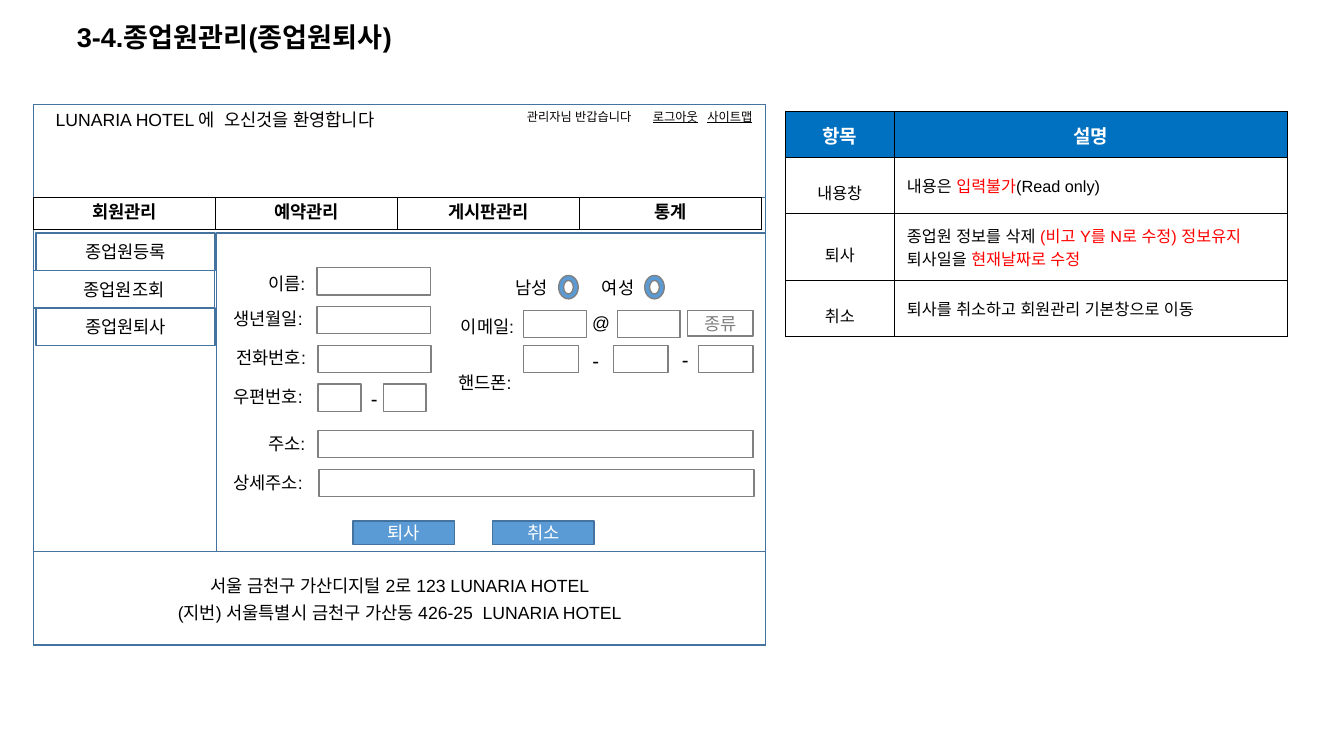
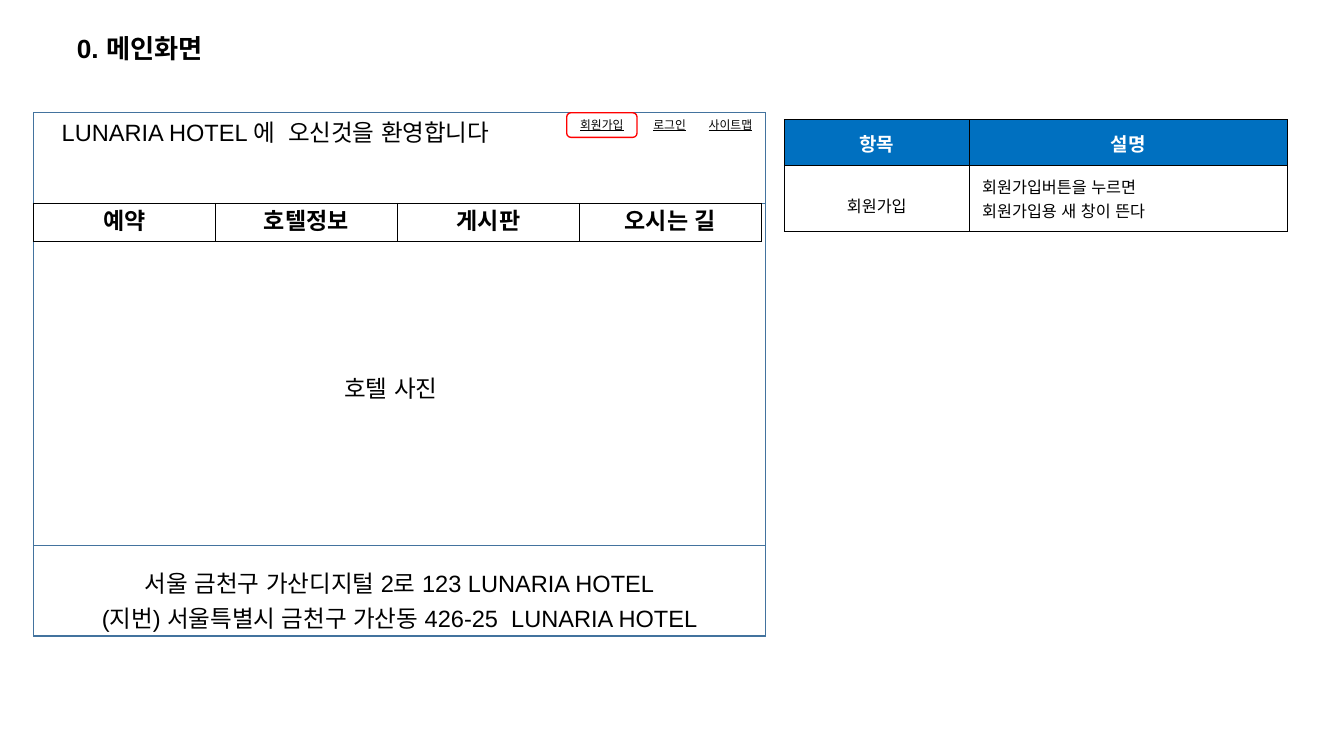
from lxml import etree
from pptx import Presentation
from pptx.dml.color import RGBColor
from pptx.enum.shapes import MSO_SHAPE
from pptx.enum.text import MSO_ANCHOR, MSO_AUTO_SIZE, PP_ALIGN
from pptx.oxml.ns import qn
from pptx.util import Cm, Pt

RECT, ROUND, DONUT = MSO_SHAPE.RECTANGLE, MSO_SHAPE.ROUNDED_RECTANGLE, MSO_SHAPE.DONUT
LEFT, MID = PP_ALIGN.LEFT, PP_ALIGN.CENTER
TOP, CENTER = MSO_ANCHOR.TOP, MSO_ANCHOR.MIDDLE
GROW, FIXED = MSO_AUTO_SIZE.SHAPE_TO_FIT_TEXT, MSO_AUTO_SIZE.NONE

HEX = {"black": "000000", "white": "FFFFFF", "red": "FF0000", "gray": "808080",
       "edge": "43739E", "blue": "5B9BD5", "head": "0070C0"}
LATIN, HANGUL = "Arial", "Noto Sans CJK KR"

# Shared content and measures, in cm
INCH = 2.54
WIDE, HIGH = 13.78 * INCH, 7.5 * INCH
HELLO = "LUNARIA HOTEL 에  오신것을 환영합니다 "
ADDRESS = ["서울 금천구 가산디지털 2로 123 LUNARIA HOTEL",
           "(지번) 서울특별시 금천구 가산동 426-25  LUNARIA HOTEL"]
HEADS = ["항목", "설명"]
FRAME_X, FRAME_W, NAV_COL = 0.87, 19.07, 4.74
LINE_H, LINK_H = 0.81, 0.64

STAFF = {
    "title": ("3-4.종업원관리(종업원퇴사)", 0.53, 0.97, 20),
    "frame": (2.72, 14.09, 2.43),
    "size": 13, "hello": (9.8, 0.81), "foot": 1.52,
    "small": 9,
    "links": [("관리자님 반갑습니다", 13.34, 3.48, False),
              ("로그아웃", 16.69, 1.8, True), ("사이트맵", 18.11, 1.8, True)],
    "nav": ["회원관리", "예약관리", "게시판관리", "통계"],
    "nav_fmt": (0.83, 13),
    "spec_at": (20.45, 2.9), "cols": [2.84, 10.24], "rows": [1.19, 1.47, 1.73, 1.47],
    "spec": [
        ("내용창", [["내용은 ", ("입력불가", "red"), "(Read only)"]]),
        ("퇴사", [["종업원 정보를 삭제 ", ("(비고 Y를 N로 수정) 정보유지", "red")],
                ["퇴사일을 ", ("현재날짜로 수정", "red")]]),
        ("취소", ["퇴사를 취소하고 회원관리 기본창으로 이동"]),
    ],
}
HOME = {
    "title": ("0. 메인화면", 0.84, 0.91, 19.4),
    "frame": (2.94, 13.64, 2.36),
    "size": 17.4, "hello": (13, 0.99), "foot": 1.98,
    "small": 8.7,
    "links": [("회원가입", 14.76, 1.83, True), ("로그인", 16.69, 1.5, True),
              ("사이트맵", 18.11, 1.83, True)],
    "nav": ["예약", "호텔정보", "게시판", "오시는 길"],
    "nav_fmt": (0.99, 17),
    "spec_at": (20.42, 3.11), "cols": [4.83, 8.28], "rows": [1.19, 1.73],
    "spec": [("회원가입", ["회원가입버튼을 누르면", "회원가입용 새 창이 뜬다"])],
}

# Staff form: rows share one pitch
MENU = [("종업원등록", 0.94, 4.66), ("종업원조회", 0.87, 4.72), ("종업원퇴사", 0.94, 4.66)]
MENU_Y, MENU_H = 6.07, 0.98
PANEL = (5.64, 6.07, 14.3, 8.31)
ROW_Y, PITCH, FIELD_H = 6.98, 1.01, 0.71
FIELDS = [  # row, then (left, width) of each box
    (0, [(8.26, 2.95)]), (1, [(8.26, 2.95)]), (2, [(8.28, 2.95)]),
    (3, [(8.28, 1.12), (9.98, 1.12)]),
    (1.1, [(13.64, 1.63), (16.08, 1.63)]),
    (2, [(13.64, 1.42), (15.98, 1.42), (18.19, 1.42)]),
    (4.2, [(8.28, 11.33)]), (5.2, [(8.31, 11.33)]),
]
LABELS = [  # text, left, top, width
    ("이름: ", 6.68, 6.99, 1.7), ("생년월일: ", 5.74, 7.9, 2.62),
    ("전화번호:", 5.82, 8.92, 2.49), ("우편번호:", 5.74, 9.93, 2.49),
    ("주소: ", 6.68, 11.15, 1.7), ("상세주소: ", 5.74, 12.17, 2.62),
    ("남성 ", 13.13, 7.09, 1.57), ("여성", 15.37, 7.09, 1.45),
    ("이메일: ", 11.68, 8.1, 2.16), ("@", 15.16, 8, 0.99),
    ("핸드폰: ", 11.61, 9.56, 2.16),
]
DASHES = [(9.5, 9.93), (15.27, 8.94), (17.6, 8.92)]
RADIOS = [14.55, 16.79]
KIND = ("종류", 17.91, 8.1, 1.7, 0.66)
BUTTONS = [("퇴사", 9.19), ("취소", 12.83)]


def rgb(key):
    return RGBColor.from_string(HEX[key])


def space(par, pct, after=False):
    props = par._p.get_or_add_pPr()
    gap = props.get_or_add_spcAft() if after else props.get_or_add_spcBef()
    etree.SubElement(gap, qn("a:spcPct")).set("val", str(pct * 1000))


def write(frame, lines, size, color="black", align=MID, pct=30, after=False,
          lead=None, font=LATIN, **fmt):
    """Fill a text frame; a line is a string or a list of parts."""
    fmt = {"size": Pt(size), "name": font, "bold": False, **fmt}
    for i, line in enumerate(lines):
        par = frame.add_paragraph() if i else frame.paragraphs[0]
        par.alignment = align
        if lead:
            par.line_spacing = lead
        if pct:
            space(par, pct, after)
        for part in [line] if isinstance(line, str) else line:
            text, tint = (part, color) if isinstance(part, str) else part
            run = par.add_run()
            run.text = text
            for name, value in fmt.items():
                setattr(run.font, name, value)
            run.font.color.rgb = rgb(tint)
            east = etree.SubElement(run._r.get_or_add_rPr(), qn("a:ea"))
            east.set("typeface", font)


def label(slide, lines, x, y, w, h, size, wrap=False, anchor=TOP, fit=GROW, **fmt):
    frame = slide.shapes.add_textbox(Cm(x), Cm(y), Cm(w), Cm(h)).text_frame
    frame.word_wrap = wrap
    frame.auto_size = fit
    frame.vertical_anchor = anchor
    write(frame, lines, size, **fmt)


def box(slide, x, y, w, h, line="edge", fill=None, kind=RECT, text=None, color="black"):
    shape = slide.shapes.add_shape(kind, Cm(x), Cm(y), Cm(w), Cm(h))
    shape.shadow.inherit = False
    if fill:
        shape.fill.solid()
        shape.fill.fore_color.rgb = rgb(fill)
    else:
        shape.fill.background()
    shape.line.color.rgb = rgb(line)
    shape.line.width = Pt(1)
    if text:
        shape.text_frame.vertical_anchor = CENTER
        write(shape.text_frame, [text], 13, color, font=HANGUL)


def border(cell, width):
    props = cell._tc.get_or_add_tcPr()
    for i, side in enumerate("LRTB"):
        line = etree.Element(qn("a:ln" + side), w=str(Pt(width)))
        fill = etree.SubElement(line, qn("a:solidFill"))
        etree.SubElement(fill, qn("a:srgbClr")).set("val", HEX["black"])
        props.insert(i, line)


def grid(slide, x, y, cols, rows, width):
    """Add a plain bordered table and return it."""
    table = slide.shapes.add_table(len(rows), len(cols), Cm(x), Cm(y),
                                   Cm(sum(cols)), Cm(sum(rows))).table
    table.first_row = table.horz_banding = False
    for col, size in zip(table.columns, cols):
        col.width = Cm(size)
    for row, size in zip(table.rows, rows):
        row.height = Cm(size)
    for cell in table.iter_cells():
        cell.fill.background()
        border(cell, width)
    return table


def spec(slide, data):
    table = grid(slide, *data["spec_at"], data["cols"], data["rows"], 0.25)
    head = dict(size=14, color="white", bold=True, lead=1.3, pct=20, after=True)
    name = dict(size=12, lead=2.0, pct=10)
    note = dict(size=12, lead=1.2, pct=10, align=LEFT)
    body = [[([text], head) for text in HEADS]]
    body += [[([key], name), (lines, note)] for key, lines in data["spec"]]
    for r, row in enumerate(body):
        for c, (lines, fmt) in enumerate(row):
            cell = table.cell(r, c)
            cell.fill.solid()
            cell.fill.fore_color.rgb = rgb("white" if r else "head")
            cell.vertical_anchor = CENTER
            cell.margin_left = cell.margin_right = Cm(0.33)
            cell.margin_top = cell.margin_bottom = Cm(0.13)
            write(cell.text_frame, lines, **fmt)


def base(deck, data):
    """Draw what both screens share: title, frame, links, menu, footer, notes."""
    slide = deck.slides.add_slide(deck.slide_layouts[6])
    title, y, h, size = data["title"]
    label(slide, [title], 1.75, y, 30.2, h, size, wrap=True, anchor=CENTER,
          fit=FIXED, align=LEFT, pct=0, lead=0.9, bold=True)
    spec(slide, data)

    top, tall, band = data["frame"]
    foot = top + tall - band
    for y, h in [(top, tall), (top, band), (foot, band)]:
        box(slide, FRAME_X, y, FRAME_W, h)
    label(slide, [HELLO], 0.76, top, *data["hello"], data["size"])
    for text, x, w, under in data["links"]:
        label(slide, [text], x, top, w, LINK_H, data["small"], underline=under)

    high, size = data["nav_fmt"]
    nav = grid(slide, FRAME_X, top + band, [NAV_COL] * len(data["nav"]), [high], 1)
    for cell, text in zip(nav.iter_cells(), data["nav"]):
        write(cell.text_frame, [text], size, bold=True)
    label(slide, ADDRESS, FRAME_X, foot + 0.48, FRAME_W, data["foot"], data["size"],
          wrap=True)
    return slide


def staff(deck):
    slide = base(deck, STAFF)
    # Side menu and panel
    for i, (text, x, w) in enumerate(MENU):
        box(slide, x, MENU_Y + i * MENU_H, w, MENU_H, text=text)
    box(slide, *PANEL)
    # Form
    for row, spots in FIELDS:
        for x, w in spots:
            box(slide, x, ROW_Y + row * PITCH, w, FIELD_H, "gray")
    for text, x, y, w in LABELS:
        label(slide, [text], x, y, w, LINE_H, 13)
    for x, y in DASHES:
        label(slide, ["-"], x, y, 0.41, 0.89, 15, wrap=True)
    for x in RADIOS:
        box(slide, x, 7.18, 0.51, 0.61, "gray", "blue", DONUT)
    text, *spot = KIND
    box(slide, *spot, "gray", text=text, color="gray")
    for text, x in BUTTONS:
        box(slide, x, 13.58, 2.64, 0.61, fill="blue", text=text, color="white")


def home(deck):
    slide = base(deck, HOME)
    label(slide, ["호텔 사진"], 8.59, 9.62, 3.18, 0.99, HOME["size"])
    # Mark on the sign-up link
    _, x, w, _ = HOME["links"][0]
    box(slide, x, HOME["frame"][0], w, LINK_H, "red", kind=ROUND)


def main():
    deck = Presentation()
    deck.slide_width = Cm(WIDE)
    deck.slide_height = Cm(HIGH)
    # The size is no longer the preset 4:3 screen
    deck.element.find(qn("p:sldSz")).attrib.pop("type", None)
    staff(deck)
    home(deck)
    deck.save("out.pptx")


if __name__ == "__main__":
    main()
